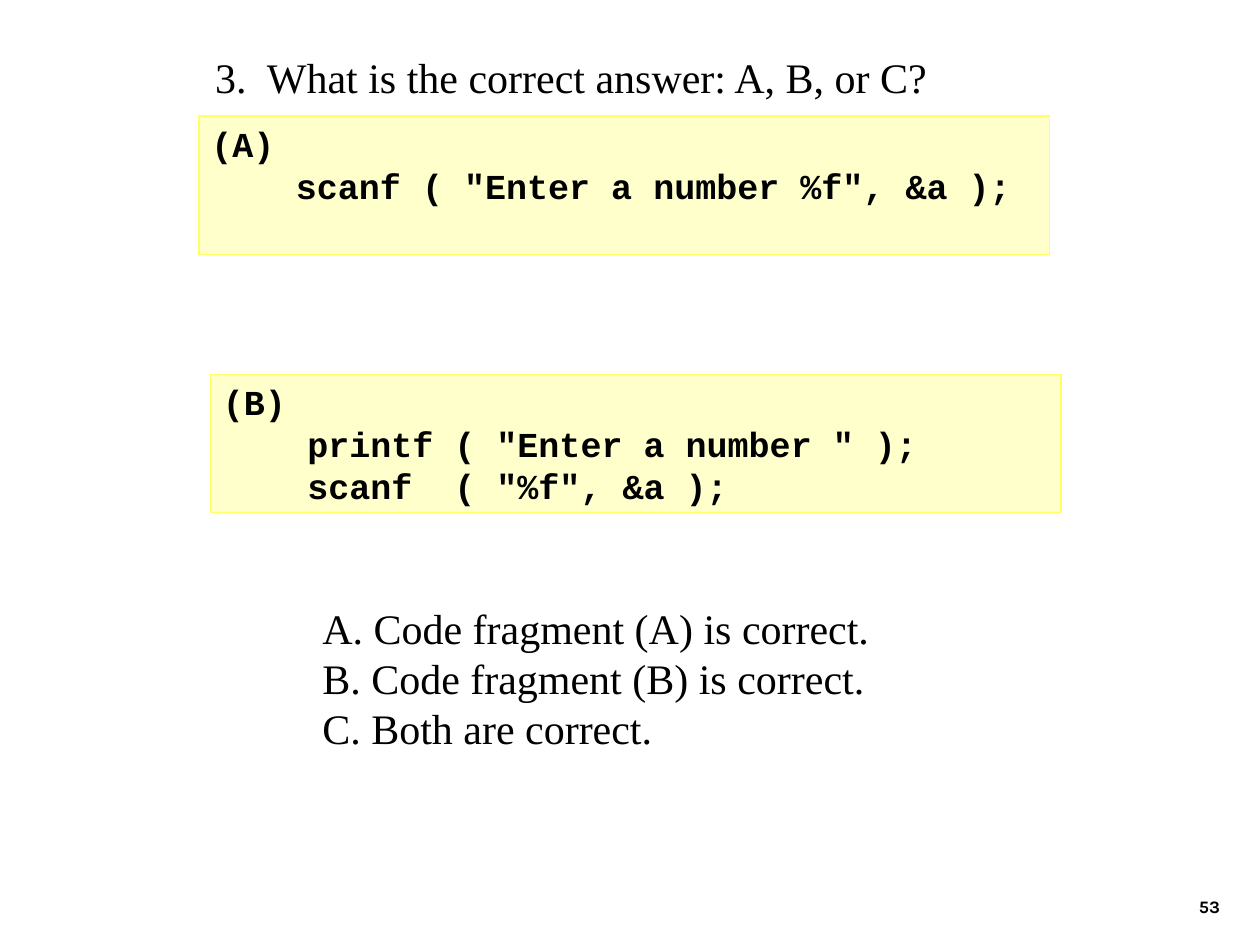
"""Build a quiz slide that compares two C input fragments."""
from pptx import Presentation
from pptx.dml.color import RGBColor
from pptx.enum.shapes import MSO_SHAPE
from pptx.enum.text import MSO_ANCHOR, PP_ALIGN
from pptx.util import Inches, Pt

COLORS = {"text": "000000", "code_fill": "FFFFCC", "code_line": "FFFF66"}
SERIF, MONO, SANS = "Times New Roman", "Courier New", "Karla"

QUESTION = "3.  What is the correct answer: A, B, or C?"
FRAGMENTS = [
    ((1.58, 0.92), "(A)", ['scanf ( "Enter a number %f", &a );']),
    ((1.67, 2.97), "(B)", ['printf ( "Enter a number " );', 'scanf  ( "%f", &a );']),
]
ANSWERS = [
    "A. Code fragment (A) is correct.",
    "B. Code fragment (B) is correct.",
    "C. Both are correct.",
]
PAGE_NUMBER = "53"
CODE_SIZE = (6.75, 1.1)
CODE_INDENT = 0.67


def rgb(name):
    return RGBColor.from_string(COLORS[name])


def write(sp, lines, font, size, bold=False, align=PP_ALIGN.LEFT,
          anchor=MSO_ANCHOR.TOP, wrap=True):
    tf = sp.text_frame
    tf.word_wrap = wrap
    tf.vertical_anchor = anchor
    tf.text = "\n".join(lines)
    for p in tf.paragraphs:
        p.alignment = align
        p.font.name = font
        p.font.size = Pt(size)
        p.font.bold = bold
        p.font.color.rgb = rgb("text")
    return tf


def add_text(s, box, lines, font, size, **style):
    sp = s.shapes.add_textbox(*map(Inches, box))
    return write(sp, lines, font, size, **style)


def add_code(s, pos, label, code):
    sp = s.shapes.add_shape(MSO_SHAPE.RECTANGLE, *map(Inches, pos + CODE_SIZE))
    sp.shadow.inherit = False
    sp.fill.solid()
    sp.fill.fore_color.rgb = rgb("code_fill")
    sp.line.color.rgb = rgb("code_line")
    sp.line.width = Pt(0.75)
    tf = write(sp, [label] + code, MONO, 20, bold=True)
    for p in tf.paragraphs[1:]:
        pPr = p._p.get_or_add_pPr()
        pPr.set("marL", str(Inches(CODE_INDENT)))
        pPr.set("indent", "0")


def main():
    prs = Presentation()
    prs.slide_width, prs.slide_height = Inches(10), Inches(7.5)
    s = prs.slides.add_slide(prs.slide_layouts[6])
    add_text(s, (7.7, 6.83, 2.08, 0.5), [PAGE_NUMBER], SANS, 10, bold=True,
             align=PP_ALIGN.RIGHT, anchor=MSO_ANCHOR.BOTTOM)
    for fragment in FRAGMENTS:
        add_code(s, *fragment)
    add_text(s, (2.46, 4.73, 5.54, 1.3), ANSWERS, SERIF, 24)
    add_text(s, (1.61, 0.36, 5.87, 0.5), [QUESTION], SERIF, 24, wrap=False)
    prs.save("out.pptx")


if __name__ == "__main__":
    main()
